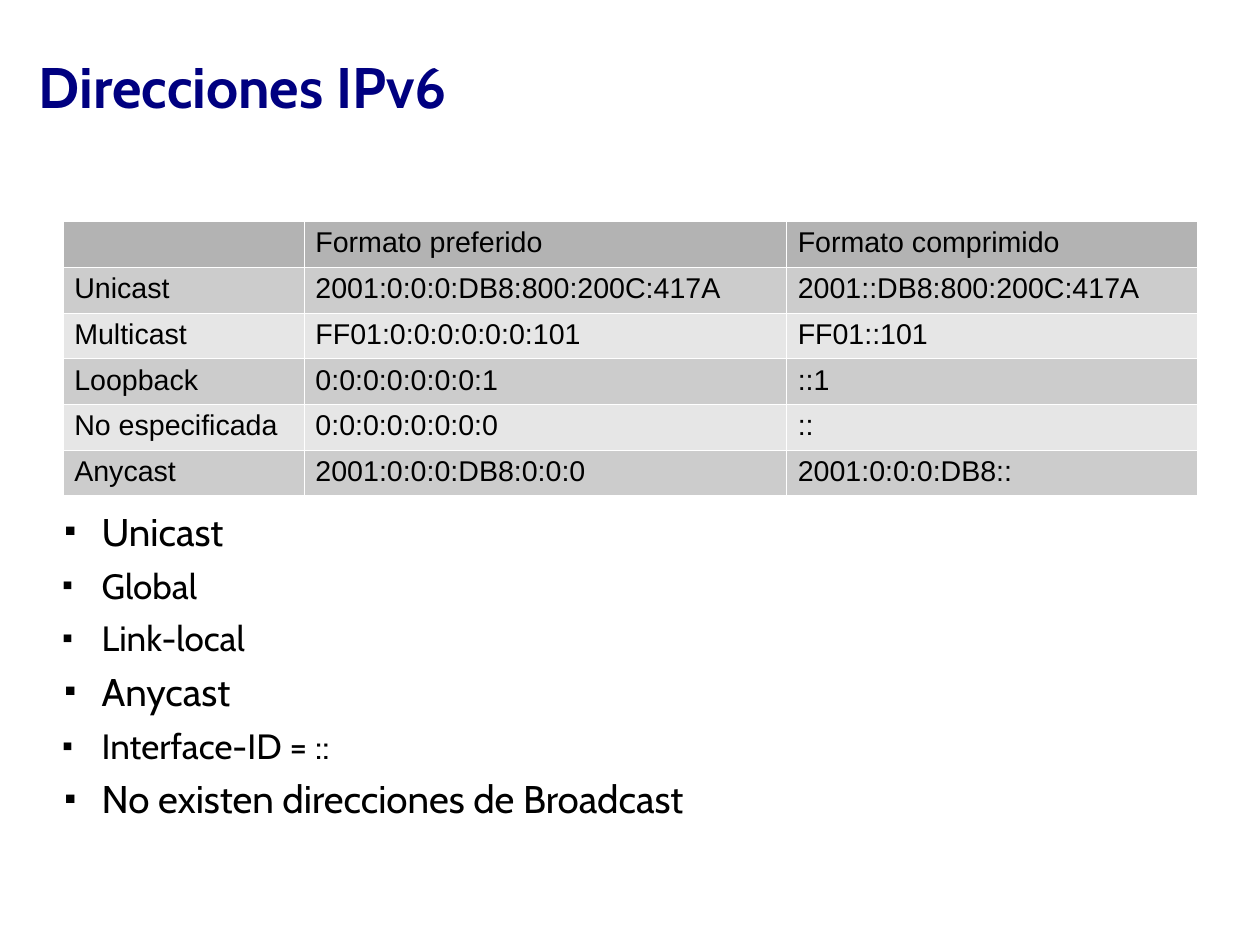
from lxml import etree
from pptx import Presentation
from pptx import util as u
from pptx.dml.color import RGBColor
from pptx.enum import text
from pptx.oxml import ns

NAVY = RGBColor(0x00, 0x00, 0x80)
BLACK = RGBColor(0x00, 0x00, 0x00)
WHITE = RGBColor(0xFF, 0xFF, 0xFF)
HEADER_GRAY = RGBColor(0xB3, 0xB3, 0xB3)
BAND_GRAYS = (RGBColor(0xCC, 0xCC, 0xCC), RGBColor(0xE6, 0xE6, 0xE6))

ADDRESSES = [
    ("", "Formato preferido", "Formato comprimido"),
    ("Unicast", "2001:0:0:0:DB8:800:200C:417A", "2001::DB8:800:200C:417A"),
    ("Multicast", "FF01:0:0:0:0:0:0:101", "FF01::101"),
    ("Loopback", "0:0:0:0:0:0:0:1", "::1"),
    ("No especificada", "0:0:0:0:0:0:0:0", "::"),
    ("Anycast", "2001:0:0:0:DB8:0:0:0", "2001:0:0:0:DB8::"),
]
COLUMN_WIDTHS = (2.11, 4.22, 3.59)

# Level and wording of each list item
ITEMS = [
    (0, "Unicast"),
    (1, "Global"),
    (1, "Link-local"),
    (0, "Anycast"),
    (1, "Interface-ID = ::"),
    (0, "No existen direcciones de Broadcast"),
]
# Font size, space before and hanging indent of each level
LEVELS = ((24.3, 5.5, 0.32), (22.1, 6.6, 0.34))


def add_xml(parent, tag, **attributes):
    return etree.SubElement(parent, ns.qn(tag), attributes)


def style_para(para, font, size, color, bold=False):
    para.alignment = text.PP_ALIGN.LEFT
    for span in para.runs:
        span.font.name = font
        span.font.size = u.Pt(size)
        span.font.bold = bold
        span.font.color.rgb = color


def place(holder, box, anchor):
    """Moves a placeholder into its box and clears its margins."""
    holder.left, holder.top, holder.width, holder.height = map(u.Inches, box)
    frame = holder.text_frame
    frame.margin_left = frame.margin_right = 0
    frame.margin_top = frame.margin_bottom = 0
    frame.word_wrap = True
    frame.auto_size = text.MSO_AUTO_SIZE.NONE
    frame.vertical_anchor = anchor
    return frame


def fill_title(holder, box):
    frame = place(holder, box, text.MSO_ANCHOR.MIDDLE)
    frame.text = "Direcciones IPv6"
    style_para(frame.paragraphs[0], "Cabin", 36, NAVY, bold=True)


def add_bullet(para, hanging):
    props = para._p.get_or_add_pPr()
    props.set("marL", str(u.Inches(0.34)))
    props.set("indent", str(-u.Inches(hanging)))
    add_xml(add_xml(props, "a:buClr"), "a:srgbClr", val=str(BLACK))
    add_xml(props, "a:buSzPct", val="45000")
    add_xml(props, "a:buFont", typeface="Arial")
    add_xml(props, "a:buChar", char="■")


def fill_list(holder, box):
    frame = place(holder, box, text.MSO_ANCHOR.TOP)
    frame.text = "\n".join(wording for _, wording in ITEMS)
    for para, (level, _) in zip(frame.paragraphs, ITEMS):
        size, space, hanging = LEVELS[level]
        para.level = level
        para.space_before = u.Pt(space)
        style_para(para, "Cabin", size, BLACK)
        add_bullet(para, hanging)


def style_cell(cell, fill):
    # Thin white borders come before the fill in the cell properties
    props = cell._tc.get_or_add_tcPr()
    for side in ("a:lnL", "a:lnR", "a:lnT", "a:lnB"):
        border = add_xml(props, side, w=str(u.Pt(0.06)))
        add_xml(add_xml(border, "a:solidFill"), "a:srgbClr", val=str(WHITE))
    cell.fill.solid()
    cell.fill.fore_color.rgb = fill
    cell.margin_left = cell.margin_right = u.Inches(0.1)
    cell.margin_top = cell.margin_bottom = u.Inches(0.05)
    para = cell.text_frame.paragraphs[0]
    para.font.size = u.Pt(18)
    style_para(para, "Arial", 18, BLACK)


def add_address_table(page, box):
    frame = page.shapes.add_table(
        len(ADDRESSES), len(COLUMN_WIDTHS), *map(u.Inches, box))
    table = frame.table
    for column, width in zip(table.columns, COLUMN_WIDTHS):
        column.width = u.Inches(width)
    for r, row in enumerate(ADDRESSES):
        fill = BAND_GRAYS[(r - 1) % 2] if r else HEADER_GRAY
        for c, wording in enumerate(row):
            cell = table.cell(r, c)
            cell.text = wording
            style_cell(cell, fill)


def main():
    deck = Presentation()
    # The page is metric: 28 by 21 cm
    deck.slide_width, deck.slide_height = u.Cm(28), u.Cm(21)
    page = deck.slides.add_slide(deck.slide_layouts[1])
    page.background.fill.solid()
    page.background.fill.fore_color.rgb = WHITE

    fill_title(page.shapes.title, (0.34, 0, 10.68, 1.49))
    add_address_table(page, (0.55, 1.93, 9.92, 2.4))
    fill_list(page.placeholders[1], (0.55, 4.44, 9.92, 2.98))
    deck.save("out.pptx")


if __name__ == "__main__":
    main()
